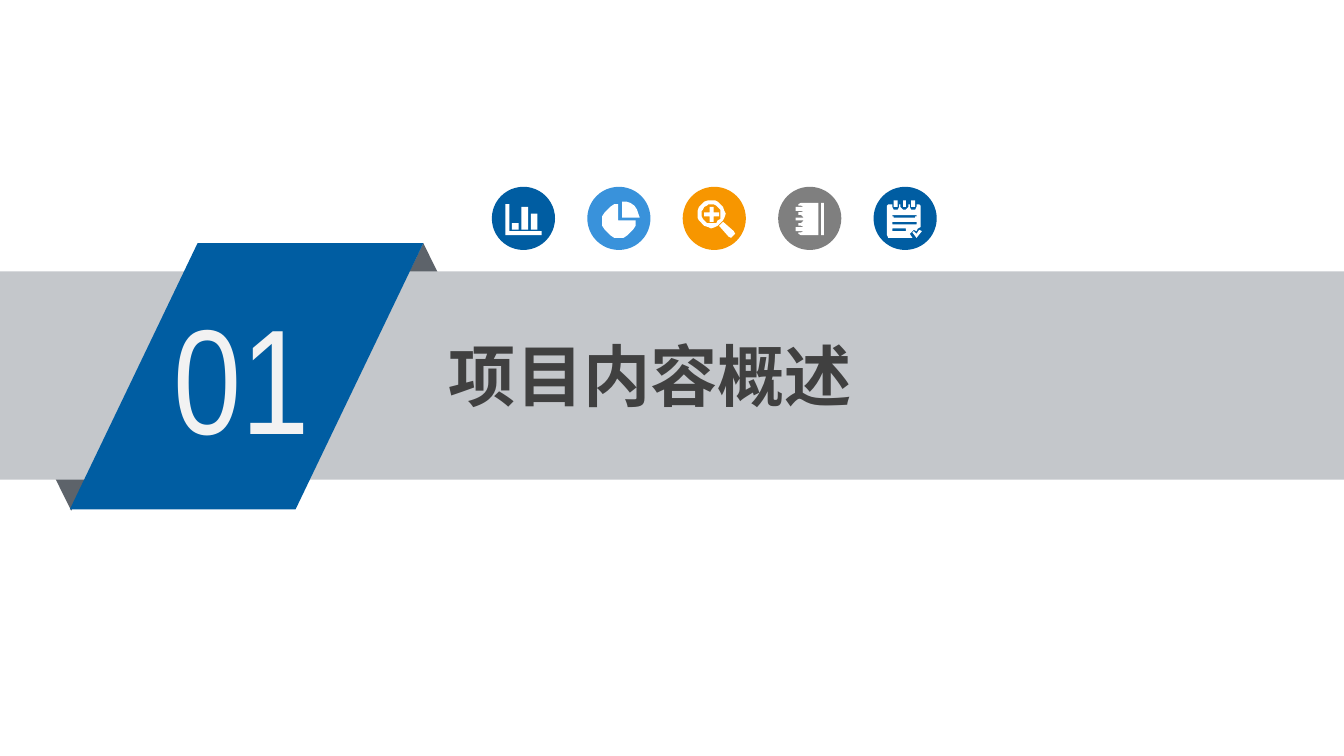
from math import cos, radians, sin

from lxml import etree
from pptx import Presentation
from pptx.dml.color import RGBColor
from pptx.enum.shapes import MSO_SHAPE
from pptx.enum.text import MSO_AUTO_SIZE
from pptx.oxml.ns import qn
from pptx.util import Inches, Pt

RECT = MSO_SHAPE.RECTANGLE
OVAL = MSO_SHAPE.OVAL
SLANT = MSO_SHAPE.PARALLELOGRAM
FOLD = MSO_SHAPE.ISOSCELES_TRIANGLE
GROW = MSO_AUTO_SIZE.SHAPE_TO_FIT_TEXT

COLORS = {
    "blue": "005DA2", "sky": "3992DB", "orange": "F79600", "gray": "7F7F7F",
    "band": "C4C7CB", "fold": "5D636A", "white": "FFFFFF",
    "number": "F2F2F2", "title": "404040",
}

prs = Presentation()
prs.slide_width = Inches(10)
prs.slide_height = prs.slide_width * 9 // 16
slide = prs.slides.add_slide(prs.slide_layouts[6])


def paint(shape, color):
    shape.shadow.inherit = False
    shape.fill.solid()
    shape.fill.fore_color.rgb = RGBColor.from_string(COLORS[color])
    shape.line.fill.background()


def ring(x, y, w, h, r):
    """Outline of a rounded box, clockwise from its right side."""
    mids = [(x + w - r, y + h - r), (x + r, y + h - r),
            (x + r, y + r), (x + w - r, y + r)]
    return [(cx + r * cos(radians(90 * i + turn)),
             cy + r * sin(radians(90 * i + turn)))
            for i, (cx, cy) in enumerate(mids) for turn in range(0, 91, 15)]


# Ribbon with folded corners behind the band
ribbon = slide.shapes.add_group_shape()
for kind, x, y, w, h, color, turn in [
    (FOLD, 2.7, 1.81, 0.9, 0.91, "fold", 0),
    (FOLD, 0.08, 2.89, 0.9, 0.91, "fold", 180),
    (RECT, 0, 2.02, 10, 1.55, "band", 0),
    (SLANT, 0.52, 1.81, 2.63, 1.98, "blue", 0),
]:
    part = ribbon.shapes.add_shape(kind, Inches(x), Inches(y), Inches(w), Inches(h))
    paint(part, color)
    part.rotation = turn
part.adjustments[0] = 0.48

# Section number and title
for home, text, x, y, w, h, inset, size, font, color, bold in [
    (ribbon, "01", 1.22, 2.08, 1.45, 1.42, 0.07, 80, "Arial Narrow", "number", False),
    (slide, "项目内容概述", 3.26, 2.45, 5.52, 0.68, 0.08, 36, "Noto Sans CJK SC",
     "title", True),
]:
    box = home.shapes.add_textbox(Inches(x), Inches(y), Inches(w), Inches(h))
    frame = box.text_frame
    frame.word_wrap = True
    frame.auto_size = GROW
    frame.margin_left = frame.margin_right = Inches(inset)
    frame.margin_top = frame.margin_bottom = Inches(0.04)
    frame.text = text
    run = frame.paragraphs[0].runs[0]
    run.font.size = Pt(size)
    run.font.bold = bold
    run.font.name = font
    run.font.color.rgb = RGBColor.from_string(COLORS[color])
    east = etree.SubElement(run.font._element, qn("a:ea"))
    east.set("typeface", font)

# Icon outlines in hundredths of an inch; an inner outline cuts a hole
bars = [[(376, 152), (379, 152), (379, 172), (403, 172), (403, 175), (376, 175)]]
bars += [ring(381 + 7 * i, top, 5, 171 - top, 1)
         for i, top in enumerate([166, 154, 159])]

pie = [
    [(463, 162)] + ring(450.5, 149.5, 25, 25, 12.5)[21:],
    [(460.5, 164.5)] + ring(448, 152, 25, 25, 12.5)[:21],
]

lens = [
    ring(519, 149, 20.5, 20.5, 10.25),
    ring(522, 152, 14.5, 14.5, 7.25),
    [(528, 154), (531, 154), (531, 158), (535, 158), (535, 161), (531, 161),
     (531, 165), (528, 165), (528, 161), (524, 161), (524, 158), (528, 158)],
    [(535, 168), (538, 165), (546, 172), (547, 174), (544, 177), (542, 176)],
]

NOTCH = [(0, 0), (2, 0), (4, 1), (4.5, 2.5), (4, 4), (2, 5), (0, 5)]
holes = [153, 160.5, 168]
book = [
    [(609, 151), (596, 151), (594, 152)]
    + [(594 + d, y + s) for y in holes for d, s in NOTCH]
    + [(594, 174), (596, 175), (609, 175)],
    ring(611, 151, 2, 24, 0.5),
]
book += [ring(592, y + 1, 6, 3, 1.5) for y in holes]

clips = [664, 670.5, 677]
pad = [
    [(660, 153), (661, 152)]
    + [(x + s, 152 + d) for x in clips for d, s in NOTCH]
    + [(684, 152), (685, 153), (685, 169), (683, 170), (682, 172), (680, 171),
       (677, 174), (679, 177), (661, 177), (660, 175)],
    [(679, 173), (680, 172), (682, 174), (684, 171), (686, 172), (682, 177)],
]
pad += [ring(x + 1, 149, 3, 5, 1.5) for x in clips]
pad += [ring(664, y, w, 2, 1) for y, w in [(159.5, 18), (165, 18), (170, 10)]]

# Icons on discs
for i, (color, icon) in enumerate([
    ("blue", bars), ("sky", pie), ("orange", lens), ("gray", book), ("blue", pad),
]):
    group = slide.shapes.add_group_shape()
    disc = group.shapes.add_shape(
        OVAL, Inches(3.66 + 0.71 * i), Inches(1.39), Inches(0.47), Inches(0.47))
    paint(disc, color)
    pen = group.shapes.build_freeform(*icon[0][0], scale=Inches(0.01))
    for line in icon:
        pen.move_to(*line[0])
        pen.add_line_segments(line[1:])
    paint(pen.convert_to_shape(), "white")

prs.save("out.pptx")
